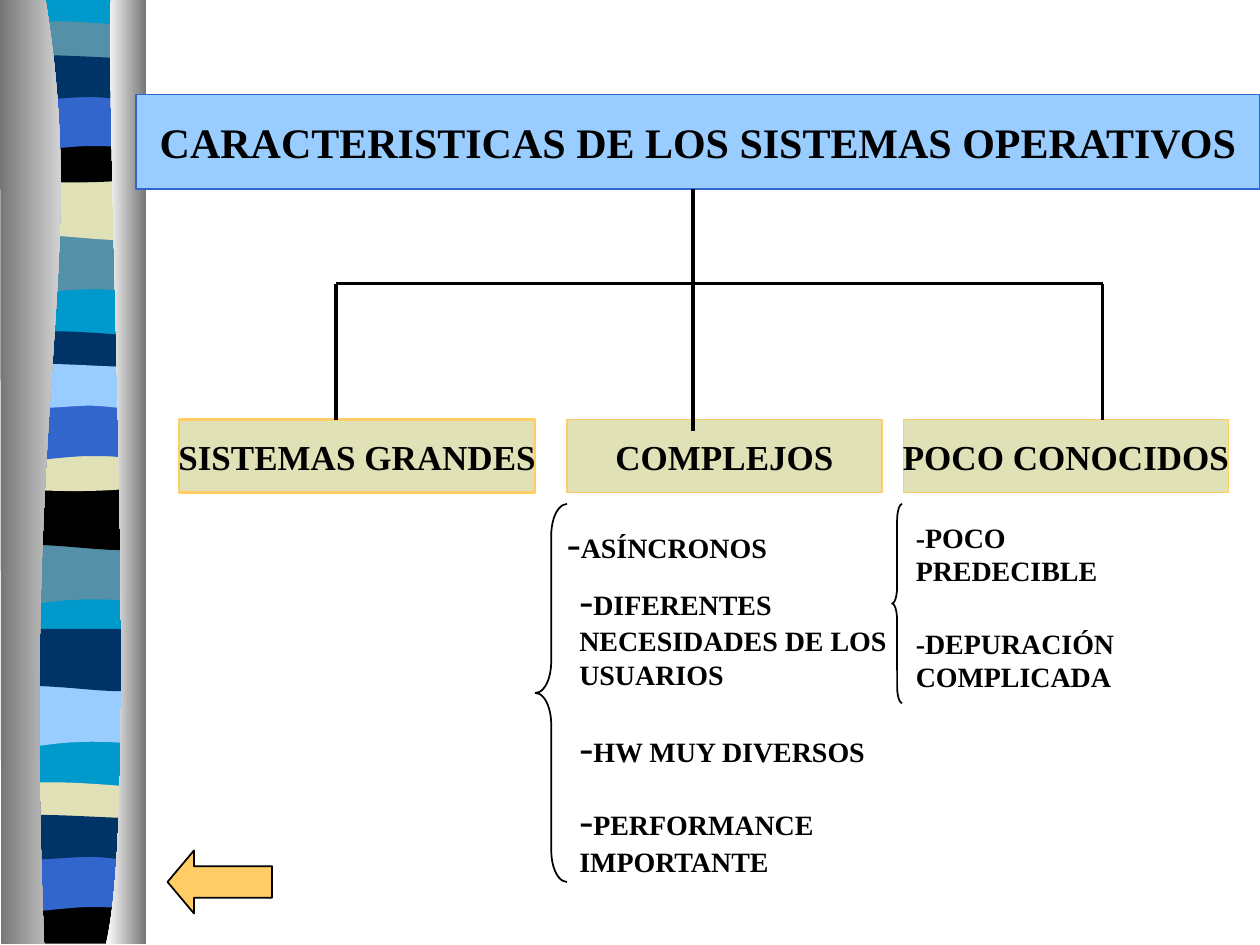
import lxml.etree
import pptx
import pptx.dml.color
import pptx.enum.shapes
import pptx.enum.text
import pptx.oxml.ns
import pptx.util

Inches = pptx.util.Inches
Pt = pptx.util.Pt
Preset = pptx.enum.shapes.MSO_SHAPE
qn = pptx.oxml.ns.qn

COLORS = {
    "black": "000000", "white": "FFFFFF", "gray": "767676", "cyan": "0099CC",
    "steel": "5490A8", "sand": "E1E1B7", "blue": "3366CC", "navy": "003366",
    "sky": "99CCFF", "amber": "FFCC66",
}

# Band outlines, relative to the band's top left corner: two numbers make a
# straight segment, six numbers a curve.
WIDTH = 1.08
PROFILES = {
    "ripple": [(WIDTH, 0), (WIDTH, 0.47), (0.34, 0.39, 0.18, 0.55, 0, 0.47), (0, 0)],
    "swell": [(WIDTH, 0), (WIDTH, 0.47), (0.9, 0.55, 0.33, 0.41, 0, 0.47), (0, 0)],
    "thin": [(WIDTH, 0.05), (WIDTH, 0.29), (0.9, 0.34, 0.18, 0.34, 0, 0.29), (0, 0.05),
             (0.07, 0, 0.23, 0.01, 0.41, 0.01), (0.59, 0.01, 0.94, 0.04, WIDTH, 0.05)],
    "bowl": [(WIDTH, 0), (WIDTH, 0.33), (0.9, 0.38, 0.18, 0.38, 0, 0.33), (0, 0),
             (0.67, 0.05, 0.86, 0, WIDTH, 0)],
    "base": [(WIDTH, 0), (WIDTH, 0.37), (0, 0.37), (0, 0),
             (0.67, 0.05, 0.86, 0, WIDTH, 0)],
    "arch": [(WIDTH, 0), (WIDTH, 0.47), (0.91, 0.42, 0.84, 0.42, 0.66, 0.42),
             (0.48, 0.42, 0.16, 0.47, 0, 0.47), (0, 0)],
    "slab": [(WIDTH, 0.05), (WIDTH, 0.36), (1.01, 0.41, 0.84, 0.36, 0.66, 0.36),
             (0.48, 0.36, 0.11, 0.41, 0, 0.36), (0, 0.05),
             (0.15, 0, 0.73, 0.05, 0.91, 0.05), (1.1, 0.05, 1.04, 0.05, WIDTH, 0.05)],
}

# Profile, top and colour, from back to front
BANDS = [
    ("ripple", 1.85, "steel"), ("swell", 1.41, "sand"), ("thin", 0.16, "steel"),
    ("bowl", 1.08, "black"), ("arch", 0.74, "blue"), ("slab", 0.41, "navy"),
    ("ripple", 4.31, "steel"), ("swell", 3.87, "black"), ("thin", 2.62, "navy"),
    ("bowl", 3.53, "sand"), ("arch", 3.2, "blue"), ("slab", 2.86, "sky"),
    ("ripple", 5.44, "sky"), ("swell", 4.99, "navy"), ("thin", 6.2, "sand"),
    ("base", 7.12, "black"), ("arch", 6.78, "blue"), ("slab", 6.44, "navy"),
]


class SlideBuilder:
    font = "Times New Roman"

    def __init__(self, page):
        self.page = page

    def color(self, name):
        return pptx.dml.color.RGBColor.from_string(COLORS[name])

    def paint(self, shape, fill=None, line=None, weight=1):
        shape.shadow.inherit = False
        if fill:
            shape.fill.solid()
            shape.fill.fore_color.rgb = self.color(fill)
        else:
            shape.fill.background()
        if line:
            shape.line.color.rgb = self.color(line)
            shape.line.width = Pt(weight)
        else:
            shape.line.fill.background()

    def outline(self, segments, fill, left=0, top=0):
        points = [(Inches(left + x), Inches(top + y))
                  for segment in segments
                  for x, y in zip(segment[::2], segment[1::2])]
        builder = self.page.shapes.build_freeform(*points[0])
        builder.add_line_segments(points[1:], close=True)
        shape = builder.convert_to_shape()
        # Join the three points of each curve into one Bezier segment
        steps = iter(list(shape._element.iter(qn("a:lnTo"))))
        for segment in segments[1:]:
            parts = [next(steps) for _ in range(len(segment) // 2)]
            if len(parts) == 3:
                curve = lxml.etree.Element(qn("a:cubicBezTo"))
                parts[0].addprevious(curve)
                for part in parts:
                    curve.append(part[0])
                    part.getparent().remove(part)
        self.paint(shape, fill)
        return shape

    def curtain(self, segments, start, end):
        shape = self.outline(segments, start)
        shape.fill.gradient()
        shape.fill.gradient_angle = 0
        for stop, name in zip(shape.fill.gradient_stops, (start, end)):
            stop.color.rgb = self.color(name)

    def preset(self, kind, left, top, width, height, fill=None, line="black",
               weight=1, adjustments=()):
        shape = self.page.shapes.add_shape(
            kind, Inches(left), Inches(top), Inches(width), Inches(height))
        for index, value in enumerate(adjustments):
            shape.adjustments[index] = value
        self.paint(shape, fill, line, weight)
        return shape

    def brace(self, left, top, width, height):
        self.preset(Preset.LEFT_BRACE, left, top, width, height,
                    adjustments=(height / 12 / width, 0.5))

    def span(self, para, text, size, bold=True):
        span = para.add_run()
        span.text = text
        span.font.name = self.font
        span.font.size = Pt(size)
        span.font.bold = bold
        span.font.color.rgb = self.color("black")

    def label(self, text, size, left, top, width, height, fill, line, weight=1):
        box = self.preset(Preset.RECTANGLE, left, top, width, height, fill, line, weight)
        box.text_frame.word_wrap = False
        box.text_frame.vertical_anchor = pptx.enum.text.MSO_ANCHOR.MIDDLE
        para = box.text_frame.paragraphs[0]
        para.alignment = pptx.enum.text.PP_ALIGN.CENTER
        self.span(para, text, size)

    def note(self, text, left, top, width, height, dash=False, wrap=True):
        box = self.page.shapes.add_textbox(
            Inches(left), Inches(top), Inches(width), Inches(height))
        box.text_frame.word_wrap = wrap
        box.text_frame.auto_size = pptx.enum.text.MSO_AUTO_SIZE.SHAPE_TO_FIT_TEXT
        para = box.text_frame.paragraphs[0]
        if dash:
            self.span(para, "-", 24, bold=False)
        self.span(para, text, 16)

    def line(self, x1, y1, x2, y2):
        line = self.page.shapes.add_connector(
            pptx.enum.shapes.MSO_CONNECTOR.STRAIGHT,
            Inches(x1), Inches(y1), Inches(x2), Inches(y2))
        line.line.color.rgb = self.color("black")
        line.line.width = Pt(2.25)
        lxml.etree.SubElement(line._element.spPr, qn("a:effectLst"))


def main():
    deck = pptx.Presentation()
    deck.slide_width, deck.slide_height = Inches(10), Inches(7.5)
    slide = SlideBuilder(deck.slides.add_slide(deck.slide_layouts[6]))

    # Ribbon of coloured bands between two shaded curtains
    slide.outline([(1.14, -0.01), (1.14, 7.47), (0.06, 7.47), (0.06, -0.01)], "cyan")
    for profile, top, fill in BANDS:
        slide.outline(PROFILES[profile], fill, 0.05, top)
    slide.curtain([(0.36, -0.01), (0.71, 2.16, 0.17, 2.96, 0.35, 7.49),
                   (0.01, 7.49), (0, -0.01)], "gray", "white")
    slide.curtain([(0.88, -0.01), (0.84, 1.25, 1.11, 6.46, 0.84, 7.49),
                   (1.16, 7.49), (1.16, 0)], "white", "gray")

    # Back arrow
    slide.preset(Preset.LEFT_ARROW, 1.33, 6.75, 0.83, 0.5, "amber",
                 adjustments=(0.5, 0.42))

    # Title and the three branches
    slide.label("CARACTERISTICAS DE LOS SISTEMAS OPERATIVOS", 24,
                1.08, 0.75, 8.92, 0.75, "sky", "blue")
    for text, left, width, weight in (("SISTEMAS GRANDES", 1.42, 2.83, 1.25),
                                      ("COMPLEJOS", 4.5, 2.5, 1),
                                      ("POCO CONOCIDOS", 7.17, 2.58, 1)):
        slide.label(text, 20, left, 3.33, width, 0.58, "sand", "amber", weight)

    # Tree lines
    for x, top, bottom in ((2.67, 2.25, 3.33), (8.75, 2.25, 3.33),
                           (5.5, 2.25, 3.42), (5.5, 1.5, 2.33)):
        slide.line(x, top, x, bottom)
    slide.line(2.67, 2.25, 8.75, 2.25)

    # Details of each branch
    slide.note("ASÍNCRONOS", 4.4, 4.05, 1.79, 0.5, dash=True, wrap=False)
    for text, top, width, height in (
            ("DIFERENTES NECESIDADES DE LOS USUARIOS", 4.5, 2.67, 1.04),
            ("HW MUY DIVERSOS", 5.67, 2.58, 0.5),
            ("PERFORMANCE IMPORTANTE", 6.25, 2.5, 0.77)):
        slide.note(text, 4.5, top, width, height, dash=True)
    slide.note("-POCO PREDECIBLE", 7.17, 4.08, 2.33, 0.64)
    slide.note("-DEPURACIÓN COMPLICADA", 7.17, 4.92, 2.17, 1.04)
    slide.brace(4.25, 4, 0.25, 3)
    slide.brace(7.08, 4, 0.08, 1.58)

    deck.save("out.pptx")


if __name__ == "__main__":
    main()
